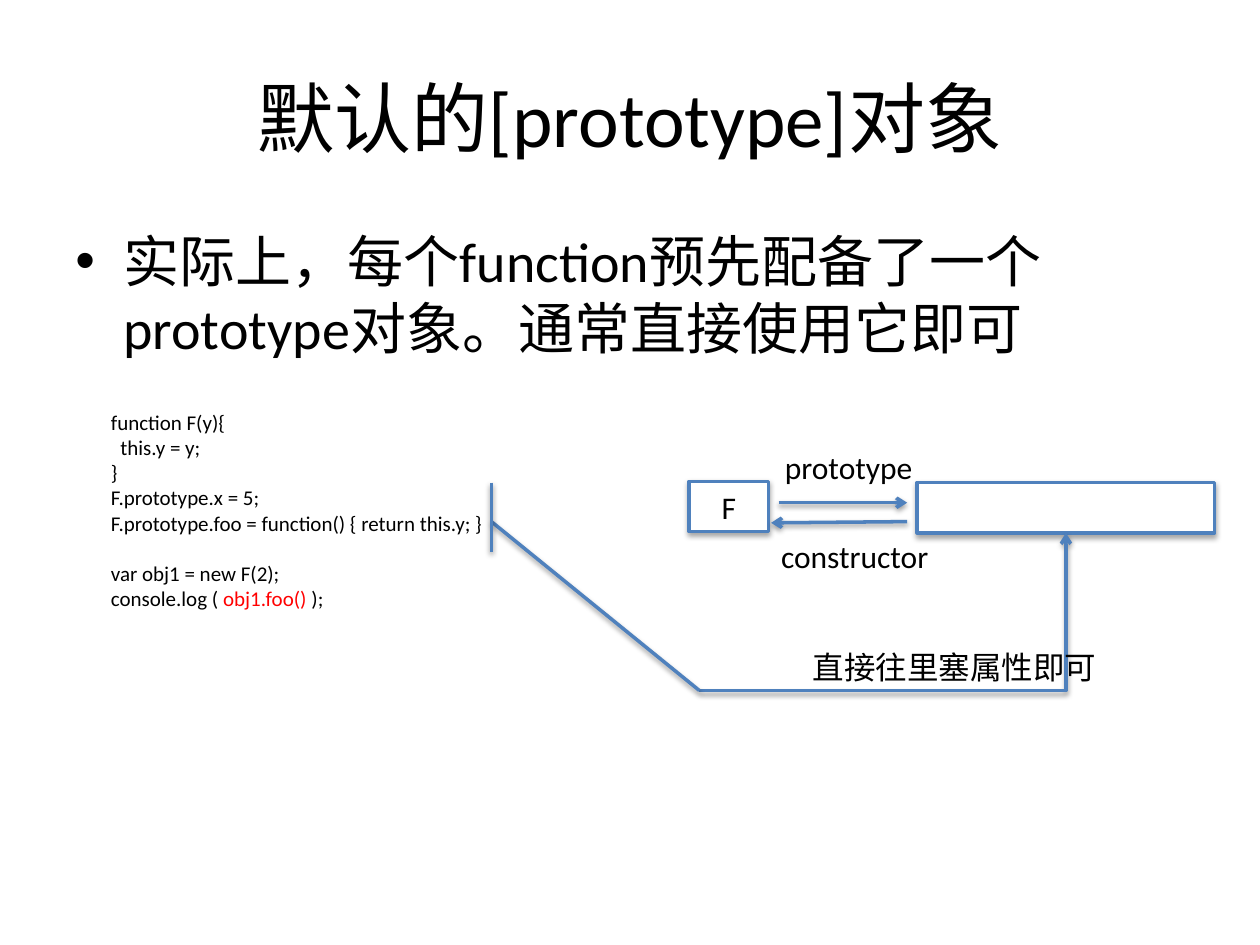
import dataclasses

import lxml.etree
import pptx
import pptx.dml.color
import pptx.enum.shapes
import pptx.enum.text
import pptx.oxml
import pptx.oxml.ns
import pptx.util

Inches = pptx.util.Inches
Pt = pptx.util.Pt
Align = pptx.enum.text.PP_ALIGN
Anchor = pptx.enum.text.MSO_ANCHOR
Connector = pptx.enum.shapes.MSO_CONNECTOR
qn = pptx.oxml.ns.qn


@dataclasses.dataclass(frozen=True)
class Theme:
    font: str = "Calibri"
    ink: str = "000000"
    accent: str = "4F81BD"
    paper: str = "FFFFFF"
    alert: str = "FF0000"
    title: int = 44
    body: int = 32
    label: int = 18
    code: int = 12
    stroke: int = 2


THEME = Theme()
TIGHT = 0.05
WIDE = 0.1

CODE = [
    [("function F(y){", THEME.ink)],
    [("  this.y = y;", THEME.ink)],
    [("}", THEME.ink)],
    [("F.prototype.x = 5;", THEME.ink)],
    [("F.prototype.foo = function() { return this.y; }", THEME.ink)],
    [],
    [("var obj1 = new F(2);", THEME.ink)],
    [("console.log (", THEME.ink), (" obj1.foo() ", THEME.alert), (");", THEME.ink)],
]


def color(value):
    return pptx.dml.color.RGBColor.from_string(value)


def apply(target, values):
    for name, value in values.items():
        setattr(target, name, value)


def place(shape, box):
    names = ("left", "top", "width", "height")
    apply(shape, dict(zip(names, map(Inches, box))))


def write(frame, lines, size, align=Align.LEFT, anchor=Anchor.TOP, side=WIDE, wrap=True):
    apply(frame, {
        "word_wrap": wrap, "vertical_anchor": anchor,
        "margin_left": Inches(side), "margin_right": Inches(side),
        "margin_top": Inches(0.05), "margin_bottom": Inches(0.05),
    })
    for index, line in enumerate(lines):
        para = frame.add_paragraph() if index else frame.paragraphs[0]
        para.alignment = align
        apply(para.font, {"size": Pt(size), "name": THEME.font})
        for text, ink in line:
            span = para.add_run()
            span.text = text
            apply(span.font, {"size": Pt(size), "name": THEME.font})
            span.font.color.rgb = color(ink)


def plain(text):
    return [[(text, THEME.ink)]]


def outline(shape, opacity, distance):
    shape.line.color.rgb = color(THEME.accent)
    shape.line.width = Pt(THEME.stroke)
    effects = lxml.etree.SubElement(shape._element.spPr, qn("a:effectLst"))
    shadow = lxml.etree.SubElement(
        effects, qn("a:outerShdw"), blurRad=str(Pt(3)), dist=str(Pt(distance)),
        dir="5400000", rotWithShape="0")
    ink = lxml.etree.SubElement(shadow, qn("a:srgbClr"), val=THEME.ink)
    lxml.etree.SubElement(ink, qn("a:alpha"), val=str(opacity * 1000))


def add_text(slide, box, lines, size, **layout):
    shape = slide.shapes.add_textbox(*map(Inches, box))
    write(shape.text_frame, lines, size, **layout)
    return shape


def add_box(slide, box, text=""):
    shape = slide.shapes.add_shape(
        pptx.enum.shapes.MSO_SHAPE.RECTANGLE, *map(Inches, box))
    shape.fill.solid()
    shape.fill.fore_color.rgb = color(THEME.paper)
    outline(shape, 35, 1.8)
    if text:
        write(shape.text_frame, plain(text), THEME.label, Align.CENTER, Anchor.MIDDLE, TIGHT)


def add_line(slide, start, end, arrow=False, bent=False):
    kind = Connector.ELBOW if bent else Connector.STRAIGHT
    line = slide.shapes.add_connector(kind, *map(Inches, (*start, *end)))
    if bent:
        line._element.spPr.find(qn("a:prstGeom")).set("prst", "bentConnector2")
    outline(line, 38, 1.6)
    if arrow:
        stroke = line._element.spPr.find(qn("a:ln"))
        lxml.etree.SubElement(stroke, qn("a:tailEnd"), type="arrow")


def add_title(slide, box):
    title = slide.shapes.title
    place(title, box)
    write(title.text_frame, plain("默认的[prototype]对象"), THEME.title,
          Align.CENTER, Anchor.MIDDLE)


def add_statement(slide, box):
    shape = slide.shapes.add_textbox(*map(Inches, box))
    properties = shape.text_frame.paragraphs[0]._p.get_or_add_pPr()
    properties.set("marL", str(Inches(0.38)))
    properties.set("indent", str(Inches(-0.38)))
    lxml.etree.SubElement(properties, qn("a:buFont"), typeface="Arial")
    lxml.etree.SubElement(properties, qn("a:buChar"), char="•")
    write(shape.text_frame,
          plain("实际上，每个function预先配备了一个prototype对象。通常直接使用它即可"),
          THEME.body)


def add_diagram(slide, box):
    left, top, width, height = box
    right, middle = left + width, top + 0.4
    object_left = right - 2.36
    add_box(slide, (left, top, 0.63, 0.4), "F")
    add_box(slide, (object_left, top + 0.01, 2.36, 0.4))
    add_line(slide, (left + 0.71, top + 0.17), (object_left - 0.08, top + 0.17), arrow=True)
    add_line(slide, (object_left - 0.08, top + 0.32), (left + 0.65, top + 0.33), arrow=True)
    add_text(slide, (left + 0.71, top - 0.31, 1.5, 0.4), plain("prototype"),
             THEME.label, side=TIGHT)
    add_text(slide, (left + 0.63, top + 0.39, 1.39, 0.4), plain("constructor"),
             THEME.label, wrap=False)

    bracket, corner = 3.9, (left + 0.08, top + height)
    add_line(slide, corner, (object_left + 1.18, middle + 0.01), arrow=True, bent=True)
    add_text(slide, (left + 0.93, top + 1.27, 3.07, 0.4), plain("直接往里塞属性即可"),
             THEME.label, side=TIGHT)
    add_line(slide, (bracket, top + 0.32), corner)
    add_line(slide, (bracket, top + 0.01), (bracket, top + 0.56))


def main():
    deck = pptx.Presentation()
    apply(deck, {"slide_width": Inches(10), "slide_height": Inches(7.5)})
    slide = deck.slides.add_slide(deck.slide_layouts[5])
    add_title(slide, (0.5, 0.3, 9, 1.25))
    add_statement(slide, (0.5, 1.75, 9, 1.29))
    add_text(slide, (0.83, 3.2, 4.49, 1.72), CODE, THEME.code, side=TIGHT)
    add_diagram(slide, (5.47, 3.82, 4.17, 1.66))
    deck.save("out.pptx")


if __name__ == "__main__":
    main()
